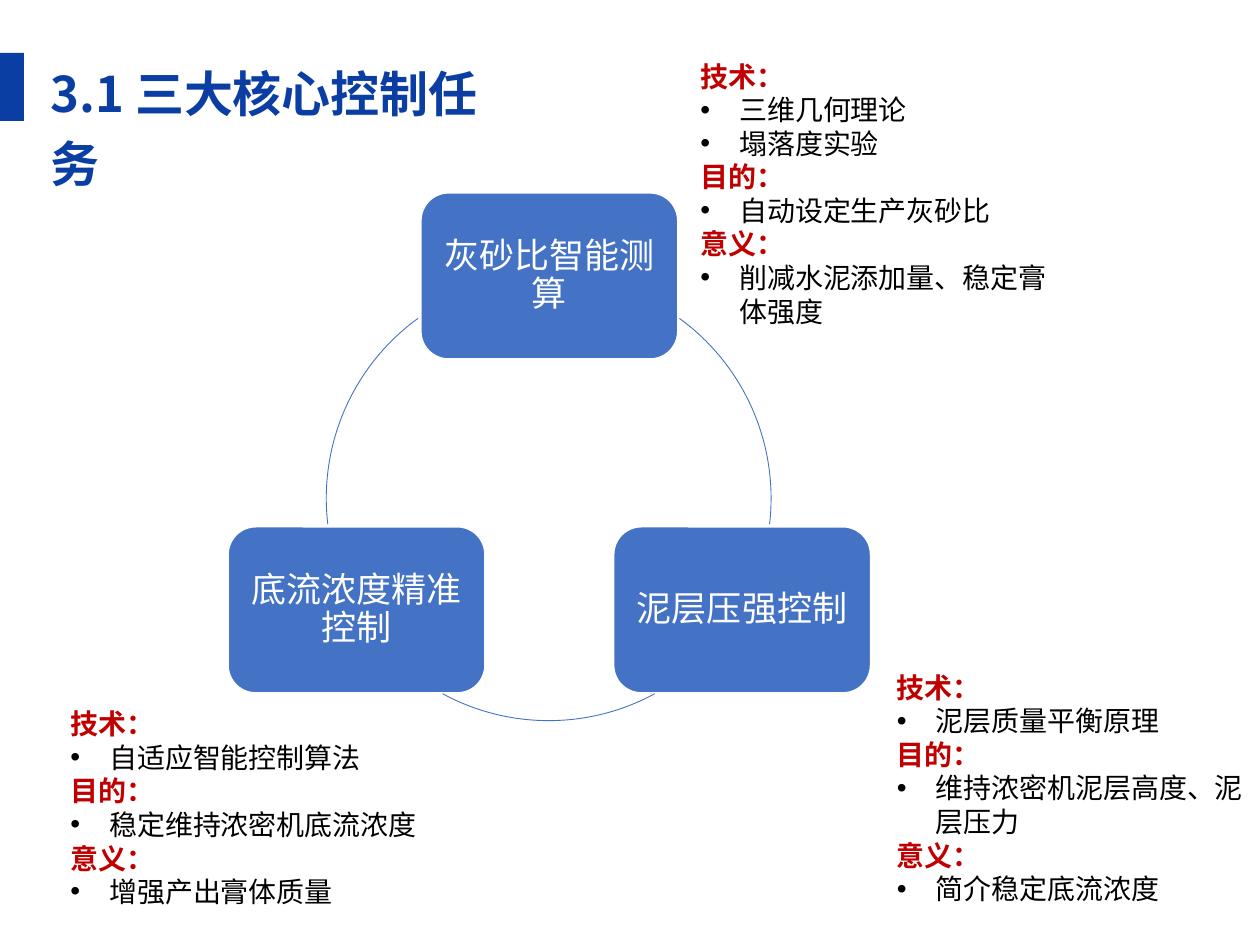
from lxml import etree
from pptx import Presentation
from pptx.dml.color import RGBColor
from pptx.enum.shapes import MSO_SHAPE as Shape
from pptx.enum.text import MSO_ANCHOR as Anchor, MSO_AUTO_SIZE as AutoSize, PP_ALIGN as Align
from pptx.oxml.ns import qn
from pptx.util import Inches, Pt

FONT = "Noto Sans CJK SC"
COLORS = {"navy": "0B3EA2", "blue": "4472C4", "red": "C00000",
          "black": "000000", "white": "FFFFFF"}

RING_LEFT, RING_TOP, RING_SIZE = 2.59, 2.19, 3.53
TASK_WIDTH, TASK_HEIGHT = 2.04, 1.32
TASKS = [("灰砂比智能测算", 3.34, 1.53),
         ("泥层压强控制", 4.87, 4.18),
         ("底流浓度精准控制", 1.81, 4.18)]
# Start and end in degrees, clockwise from three o'clock
RING_ARCS = [(306, 6.7), (61.5, 118.5), (173.3, 234)]

NOTE_WIDTH = 2.98
NOTES = [
    (0.46, 5.56, 1.72, [("技术：", ["自适应智能控制算法"]),
                        ("目的：", ["稳定维持浓密机底流浓度"]),
                        ("意义：", ["增强产出膏体质量"])]),
    (7.02, 5.27, 1.99, [("技术：", ["泥层质量平衡原理"]),
                        ("目的：", ["维持浓密机泥层高度、泥层压力"]),
                        ("意义：", ["简介稳定底流浓度"])]),
    (5.46, 0.42, 2.26, [("技术：", ["三维几何理论", "塌落度实验"]),
                        ("目的：", ["自动设定生产灰砂比"]),
                        ("意义：", ["削减水泥添加量、稳定膏体强度"])]),
]


def rgb(name):
    return RGBColor.from_string(COLORS[name])


class SlideBuilder:
    def __init__(self, slide):
        self.slide = slide

    def format_runs(self, paragraph, size, color, bold=False):
        for run in paragraph.runs:
            run.font.name = FONT
            run.font.size = Pt(size)
            run.font.bold = bold
            run.font.color.rgb = rgb(color)
            latin = run.font._element.find(qn("a:latin"))
            latin.addnext(latin.makeelement(qn("a:ea"), {"typeface": FONT}))

    def add_bullet(self, paragraph, indent=0.31):
        properties = paragraph._p.get_or_add_pPr()
        properties.set("marL", str(Inches(indent)))
        properties.set("indent", str(-Inches(indent)))
        etree.SubElement(properties, qn("a:buFont"), typeface="Arial")
        etree.SubElement(properties, qn("a:buChar"), char="•")

    def title(self, text, left, top, width, height):
        shape = self.slide.shapes.title
        shape.left, shape.top = Inches(left), Inches(top)
        shape.width, shape.height = Inches(width), Inches(height)
        frame = shape.text_frame
        frame.text = text
        frame.word_wrap = True
        frame.auto_size = AutoSize.NONE
        frame.vertical_anchor = Anchor.TOP
        frame.margin_right = Inches(0.3)
        paragraph = frame.paragraphs[0]
        paragraph.alignment = Align.LEFT
        paragraph.line_spacing = 1.2
        self.format_runs(paragraph, 28, "navy", bold=True)

    def shape(self, kind, left, top, width, height, fill=None, line=None, weight=1):
        shape = self.slide.shapes.add_shape(
            kind, Inches(left), Inches(top), Inches(width), Inches(height))
        shape.shadow.inherit = False
        if fill:
            shape.fill.solid()
            shape.fill.fore_color.rgb = rgb(fill)
        else:
            shape.fill.background()
        if line:
            shape.line.color.rgb = rgb(line)
            shape.line.width = Pt(weight)
        else:
            shape.line.fill.background()
        return shape

    def arc(self, start, end):
        arc = self.shape(Shape.ARC, RING_LEFT, RING_TOP, RING_SIZE, RING_SIZE,
                         line="blue", weight=0.5)
        # One degree is 60000 units; adjustments count in 100000s
        arc.adjustments[0] = start * 0.6
        arc.adjustments[1] = end * 0.6

    def task(self, text, left, top):
        box = self.shape(Shape.ROUNDED_RECTANGLE, left, top, TASK_WIDTH, TASK_HEIGHT,
                         fill="blue", line="white")
        frame = box.text_frame
        frame.text = text
        frame.word_wrap = True
        frame.vertical_anchor = Anchor.MIDDLE
        frame.margin_left = frame.margin_right = Inches(0.08)
        frame.margin_top = frame.margin_bottom = Inches(0.08)
        paragraph = frame.paragraphs[0]
        paragraph.alignment = Align.CENTER
        paragraph.line_spacing = 0.9
        self.format_runs(paragraph, 20, "white")

    def note(self, left, top, height, sections):
        box = self.slide.shapes.add_textbox(
            Inches(left), Inches(top), Inches(NOTE_WIDTH), Inches(height))
        frame = box.text_frame
        frame.word_wrap = True
        frame.auto_size = AutoSize.SHAPE_TO_FIT_TEXT
        lines = [(text, text == heading)
                 for heading, items in sections for text in [heading, *items]]
        frame.text = "\n".join(text for text, _ in lines)
        for paragraph, (_, is_heading) in zip(frame.paragraphs, lines):
            if not is_heading:
                self.add_bullet(paragraph)
            self.format_runs(paragraph, 16, "red" if is_heading else "black", is_heading)


def main():
    presentation = Presentation()
    presentation.slide_width, presentation.slide_height = Inches(10), Inches(7.5)
    builder = SlideBuilder(presentation.slides.add_slide(presentation.slide_layouts[5]))

    builder.title("3.1 三大核心控制任务", 0.3, 0.36, 4.06, 0.62)
    builder.shape(Shape.RECTANGLE, 0, 0.42, 0.19, 0.54, fill="navy")
    for task in TASKS:
        builder.task(*task)
    for arc in RING_ARCS:
        builder.arc(*arc)
    for note in NOTES:
        builder.note(*note)

    presentation.save("out.pptx")


if __name__ == "__main__":
    main()
